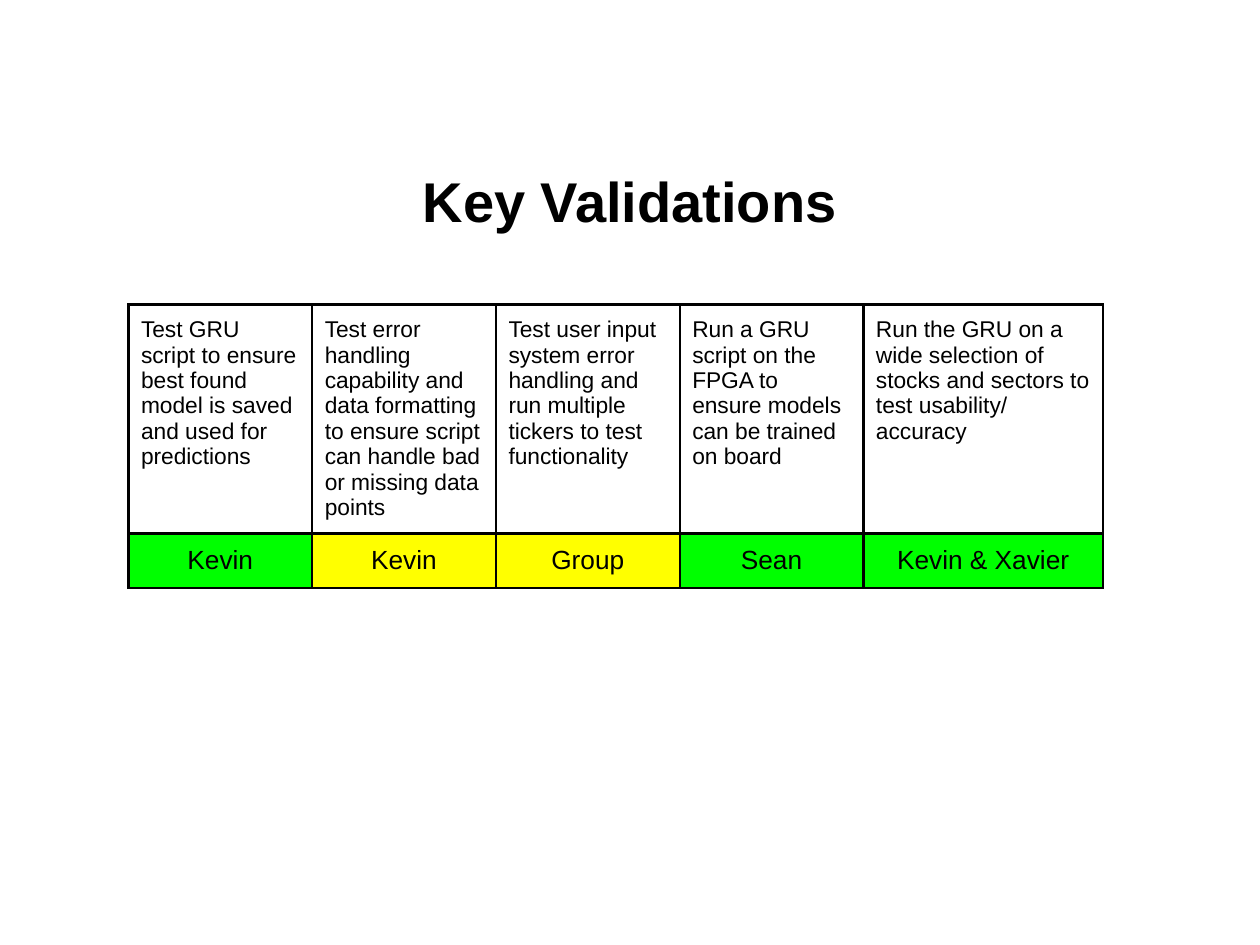
from lxml import etree
from pptx import Presentation
from pptx.dml.color import RGBColor
from pptx.enum.text import MSO_ANCHOR as ANCHOR, PP_ALIGN as ALIGN
from pptx.oxml.ns import qn
from pptx.util import Pt

FONT = "Arial"
COLORS = {"black": "000000", "green": "00FF00", "yellow": "FFFF00"}
COL_WIDTHS = [105, 105, 105, 105, 137]
ROW_HEIGHTS = [130.8, 30.8]
VALIDATIONS = [
    ("Test GRU script to ensure best found model is saved and used for predictions",
     "Kevin", "green"),
    ("Test error handling capability and data formatting to ensure script can handle "
     "bad or missing data points", "Kevin", "yellow"),
    ("Test user input system error handling and run multiple tickers to test functionality",
     "Group", "yellow"),
    ("Run a GRU script on the FPGA to ensure models can be trained on board",
     "Sean", "green"),
    ("Run the GRU on a wide selection of stocks and sectors to test usability/\naccuracy",
     "Kevin & Xavier", "green"),
]


def rgb(name):
    return RGBColor.from_string(COLORS[name])


def style_paragraph(p, size, align, bold=False):
    p.alignment = align
    p.font.name = FONT
    p.font.size = Pt(size)
    p.font.bold = bold
    p.font.color.rgb = rgb("black")


def add_title(slide, left, top, width, height):
    title = slide.shapes.title
    title.left, title.top = Pt(left), Pt(top)
    title.width, title.height = Pt(width), Pt(height)
    tf = title.text_frame
    tf.text = "Key Validations"
    tf.vertical_anchor = ANCHOR.MIDDLE
    style_paragraph(tf.paragraphs[0], 32, ALIGN.CENTER, bold=True)


def set_borders(cell, width):
    tc_pr = cell._tc.get_or_add_tcPr()
    for i, side in enumerate(("lnL", "lnR", "lnT", "lnB")):
        ln = etree.Element(qn(f"a:{side}"), w=str(Pt(width)))
        fill = etree.SubElement(ln, qn("a:solidFill"))
        etree.SubElement(fill, qn("a:srgbClr"), val=COLORS["black"])
        tc_pr.insert(i, ln)


def fill_cell(cell, text, size, align, color=None):
    cell.text = text
    cell.margin_left = cell.margin_right = Pt(7.2)
    cell.margin_top = cell.margin_bottom = Pt(7.2)
    if color:
        cell.fill.solid()
        cell.fill.fore_color.rgb = rgb(color)
    else:
        cell.fill.background()
    set_borders(cell, 1.5)
    for p in cell.text_frame.paragraphs:
        style_paragraph(p, size, align)


def add_validation_table(slide, left, top):
    frame = slide.shapes.add_table(
        len(ROW_HEIGHTS), len(COL_WIDTHS), Pt(left), Pt(top),
        Pt(sum(COL_WIDTHS)), Pt(sum(ROW_HEIGHTS)))
    table = frame.table
    table.first_row = table.horz_banding = False
    for row, height in zip(table.rows, ROW_HEIGHTS):
        row.height = Pt(height)
    for i, (task, owner, color) in enumerate(VALIDATIONS):
        table.columns[i].width = Pt(COL_WIDTHS[i])
        fill_cell(table.cell(0, i), task, 13, ALIGN.LEFT)
        fill_cell(table.cell(1, i), owner, 15, ALIGN.CENTER, color)


def main():
    prs = Presentation()
    prs.slide_width, prs.slide_height = Pt(720), Pt(540)
    slide = prs.slides.add_slide(prs.slide_layouts[5])
    add_title(slide, 36, 83, 648, 63)
    add_validation_table(slide, 73.4, 174)
    prs.save("out.pptx")


if __name__ == "__main__":
    main()
